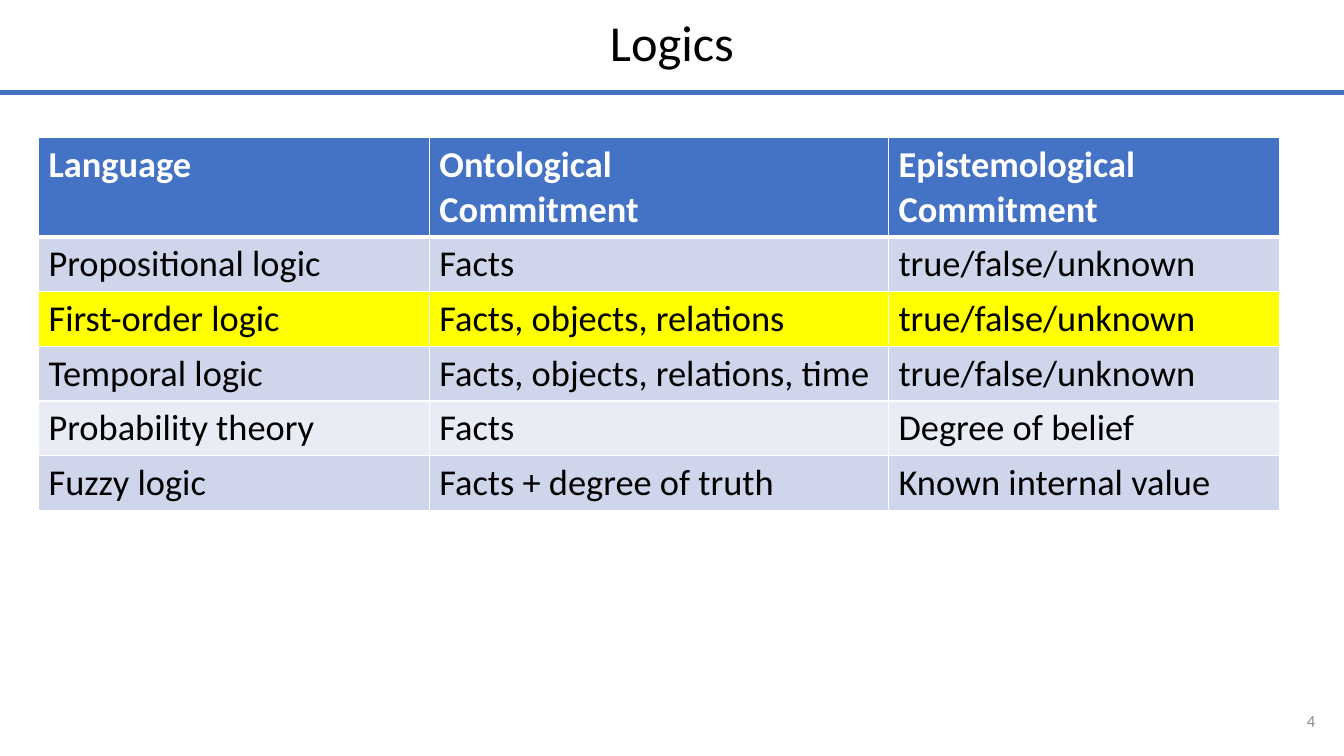
from lxml import etree
from pptx import Presentation
from pptx.dml.color import RGBColor
from pptx.enum.shapes import MSO_CONNECTOR
from pptx.enum.text import MSO_ANCHOR, MSO_AUTO_SIZE, PP_ALIGN
from pptx.oxml import parse_xml
from pptx.oxml.ns import nsdecls, qn
from pptx.util import Cm, Pt

LEFT, CENTER, RIGHT = PP_ALIGN.LEFT, PP_ALIGN.CENTER, PP_ALIGN.RIGHT
TOP, MIDDLE = MSO_ANCHOR.TOP, MSO_ANCHOR.MIDDLE
NO_FIT = MSO_AUTO_SIZE.NONE
STRAIGHT = MSO_CONNECTOR.STRAIGHT

FONT = "Calibri"
BLUE, DARK, PALE = "4472C4", "CFD5EA", "E9EBF5"
YELLOW, WHITE, BLACK, GRAY = "FFFF00", "FFFFFF", "000000", "8C8C8C"
WIDE, HIGH = 33.87, 19.05

HEAD = ("Language", "Ontological\nCommitment", "Epistemological\nCommitment")
LOGICS = (
    ("Propositional logic", "Facts", "true/false/unknown"),
    ("First-order logic", "Facts, objects, relations", "true/false/unknown"),
    ("Temporal logic", "Facts, objects, relations, time", "true/false/unknown"),
    ("Probability theory", "Facts", "Degree of belief"),
    ("Fuzzy logic", "Facts + degree of truth", "Known internal value"),
)
MARKED = "First-order logic"
COLS = (9.85, 11.57, 9.85)
HEAD_ROW, BODY_ROW = 2.48, 1.38


def color(code):
    """Return the colour for a hex string."""
    return RGBColor.from_string(code)


def write(frame, text, size=26, fill=BLACK, bold=False, align=LEFT, space=1.0):
    """Fill a text frame, one paragraph for each line of text."""
    frame.text = text
    for para in frame.paragraphs:
        para.alignment = align
        para.line_spacing = space
        font = para.runs[0].font
        font.name, font.size, font.bold = FONT, Pt(size), bold
        font.color.rgb = color(fill)


def place(shape, box):
    """Move a shape to a box given in centimetres."""
    shape.left, shape.top, shape.width, shape.height = map(Cm, box)


def edge(cell, base):
    """Draw white borders round a cell, with the given bottom width."""
    props = cell._tc.get_or_add_tcPr()
    widths = (("lnL", 1), ("lnR", 1), ("lnT", 1), ("lnB", base))
    for spot, (side, width) in enumerate(widths):
        props.insert(spot, parse_xml(
            f'<a:{side} {nsdecls("a")} w="{Pt(width)}"><a:solidFill>'
            f'<a:srgbClr val="{WHITE}"/></a:solidFill></a:{side}>'))


def add_head(slide, box):
    """Place the title in the box and a rule along its lower edge."""
    title = slide.shapes.title
    place(title, box)
    frame = title.text_frame
    frame.auto_size = NO_FIT
    frame.vertical_anchor = MIDDLE
    write(frame, "Logics", size=36, align=CENTER, space=0.9)
    left, top, width, height = box
    base = Cm(top + height)
    rule = slide.shapes.add_connector(
        STRAIGHT, Cm(left), base, Cm(left + width), base)
    rule.line.color.rgb = color(BLUE)
    rule.line.width = Pt(3.75)
    etree.SubElement(rule._element.spPr, qn("a:effectLst"))


def add_grid(slide, box):
    """Place the table of logics in the box."""
    rows = (HEAD,) + LOGICS
    grid = slide.shapes.add_table(len(rows), len(COLS), *map(Cm, box)).table
    for col, width in zip(grid.columns, COLS):
        col.width = Cm(width)
    for num, texts in enumerate(rows):
        head = num == 0
        grid.rows[num].height = Cm(HEAD_ROW if head else BODY_ROW)
        band = BLUE if head else DARK if num % 2 else PALE
        shade = YELLOW if texts[0] == MARKED else band
        for cell, text in zip(grid.rows[num].cells, texts):
            cell.fill.solid()
            cell.fill.fore_color.rgb = color(shade)
            cell.vertical_anchor = TOP
            write(cell.text_frame, text, fill=WHITE if head else BLACK, bold=head)
            edge(cell, 3 if head else 1)


def add_page(slide, box):
    """Place the page number in the box."""
    frame = slide.shapes.add_textbox(*map(Cm, box)).text_frame
    frame.word_wrap = True
    frame.vertical_anchor = MIDDLE
    write(frame, "4", size=12, fill=GRAY, align=RIGHT)


def main():
    """Build the slide and save it."""
    deck = Presentation()
    deck.slide_width, deck.slide_height = Cm(WIDE), Cm(HIGH)
    slide = deck.slides.add_slide(deck.slide_layouts[5])
    add_head(slide, (0, -0.05, WIDE, 2.39))
    add_grid(slide, (0.97, 3.47, sum(COLS), HEAD_ROW + BODY_ROW * len(LOGICS)))
    add_page(slide, (31.67, 17.65, 1.73, 1.02))
    deck.save("out.pptx")


if __name__ == "__main__":
    main()
